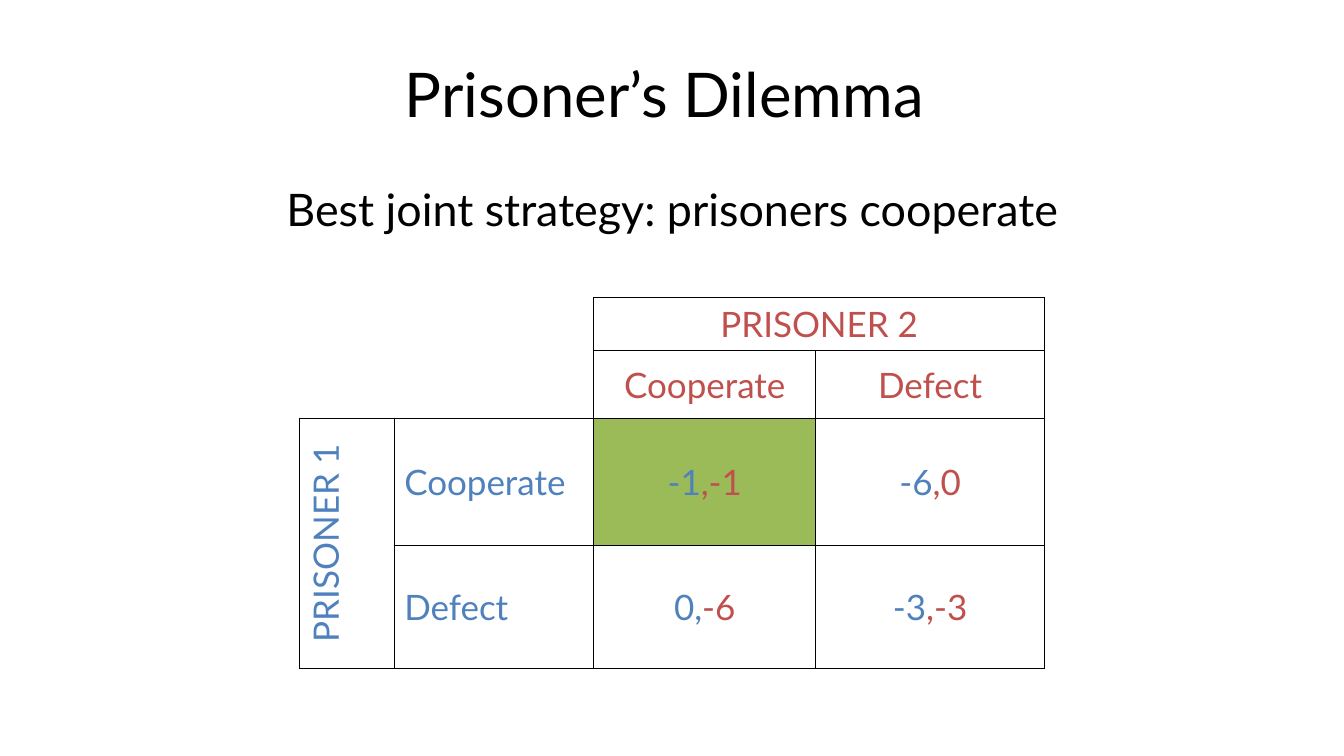
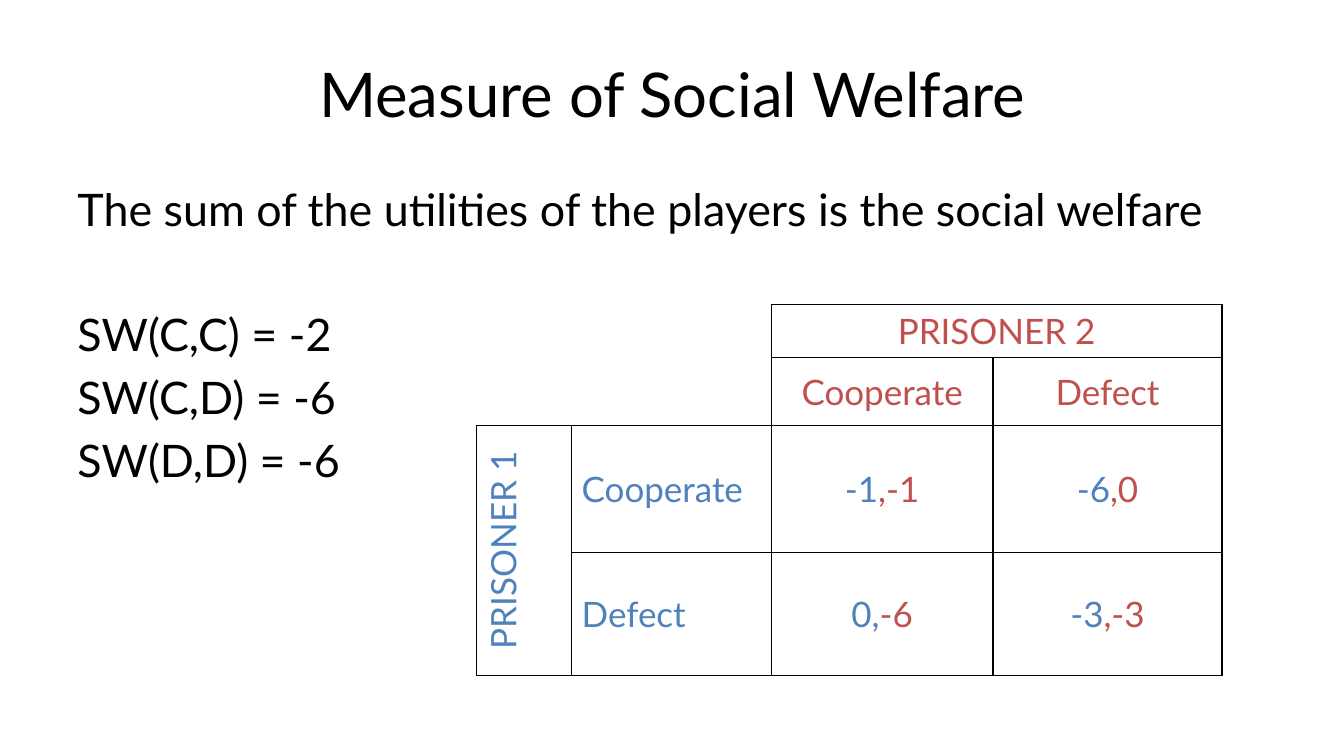
from dataclasses import dataclass

from lxml import etree
from pptx import Presentation
from pptx.dml.color import RGBColor
from pptx.enum.text import MSO_ANCHOR, PP_ALIGN
from pptx.oxml.ns import qn
from pptx.slide import Slide
from pptx.table import _Cell
from pptx.util import Inches, Pt

CENTER, LEFT = PP_ALIGN.CENTER, PP_ALIGN.LEFT
TOP, MIDDLE = MSO_ANCHOR.TOP, MSO_ANCHOR.MIDDLE

FONT = "Lato"
COLORS = {
    "text": "000000",
    "background": "FFFFFF",
    "prisoner 1": "4F81BD",
    "prisoner 2": "C0504D",
    "best": "9BBB59",
}
TITLE_SIZE, BODY_SIZE, TABLE_SIZE = 44, 32, 25
BODY_GAP = 6.4
SECTION_GAP = 51.2

COLUMN_WIDTHS = (0.94, 1.98, 2.2, 2.27)
ROW_HEIGHTS = (0.53, 0.67, 1.26, 1.22)
NO_GRID_STYLE = "{2D5ABB26-0587-4C30-8999-92F81FD0307C}"
BORDER_WIDTH = Pt(1)


@dataclass(frozen=True)
class Line:
    text: str
    space_before: float = 0


@dataclass(frozen=True)
class Entry:
    """Table text: one part for each prisoner, either of which may be empty."""
    row: int
    column: int
    first: str = ""
    second: str = ""
    align: PP_ALIGN = CENTER


@dataclass(frozen=True)
class GameSlide:
    title: str
    body: tuple[Line, ...]
    body_align: PP_ALIGN
    table_left: float
    table_top: float
    best_cell: tuple[int, int] | None = None


PAYOFFS = (
    Entry(0, 2, second="PRISONER 2"),
    Entry(1, 2, second="Cooperate"),
    Entry(1, 3, second="Defect"),
    Entry(2, 0, first="PRISONER 1"),
    Entry(2, 1, first="Cooperate", align=LEFT),
    Entry(2, 2, "-1", ",-1"),
    Entry(2, 3, "-6", ",0"),
    Entry(3, 1, first="Defect", align=LEFT),
    Entry(3, 2, "0,", "-6"),
    Entry(3, 3, "-3", ",-3"),
)

SLIDES = (
    GameSlide(
        "Prisoner’s Dilemma ",
        (Line("Best joint strategy: prisoners cooperate"),),
        CENTER, 2.97, 2.95, best_cell=(2, 2),
    ),
    GameSlide(
        "Measure of Social Welfare",
        (
            Line("The sum of the utilities of the players is the social welfare"),
            Line("SW(C,C) = -2", SECTION_GAP),
            Line("SW(C,D) = -6", BODY_GAP),
            Line("SW(D,D) = -6", BODY_GAP),
        ),
        LEFT, 4.73, 3.02,
    ),
)


def color(name: str) -> RGBColor:
    return RGBColor.from_string(COLORS[name])


def add_text(slide: Slide, top: float, height: float, lines: tuple[Line, ...],
             size: int, align: PP_ALIGN, anchor: MSO_ANCHOR) -> None:
    frame = slide.shapes.add_textbox(
        Inches(0.67), Inches(top), Inches(12), Inches(height)).text_frame
    frame.word_wrap = True
    frame.vertical_anchor = anchor
    for index, line in enumerate(lines):
        paragraph = frame.add_paragraph() if index else frame.paragraphs[0]
        paragraph.text = line.text
        paragraph.alignment = align
        if line.space_before:
            paragraph.space_before = Pt(line.space_before)
        paragraph.font.name = FONT
        paragraph.font.size = Pt(size)
        paragraph.font.color.rgb = color("text")


def set_borders(cell: _Cell, shown: str) -> None:
    """Draw the sides named in shown (L, R, T, B) and clear the others."""
    properties = cell._tc.get_or_add_tcPr()
    for side in "LRTB":
        border = etree.SubElement(properties, qn(f"a:ln{side}"), w=str(BORDER_WIDTH))
        if side in shown:
            fill = etree.SubElement(border, qn("a:solidFill"))
            etree.SubElement(fill, qn("a:srgbClr"), val=COLORS["text"])
        else:
            etree.SubElement(border, qn("a:noFill"))


def write_entry(cell: _Cell, entry: Entry) -> None:
    paragraph = cell.text_frame.paragraphs[0]
    paragraph.alignment = entry.align
    paragraph.font.name = FONT
    paragraph.font.size = Pt(TABLE_SIZE)
    for text, player in ((entry.first, "prisoner 1"), (entry.second, "prisoner 2")):
        if text:
            run = paragraph.add_run()
            run.text = text
            run.font.name = FONT
            run.font.size = Pt(TABLE_SIZE)
            run.font.color.rgb = color(player)


def add_payoff_table(slide: Slide, game: GameSlide) -> None:
    frame = slide.shapes.add_table(
        len(ROW_HEIGHTS), len(COLUMN_WIDTHS),
        Inches(game.table_left), Inches(game.table_top),
        Inches(sum(COLUMN_WIDTHS)), Inches(sum(ROW_HEIGHTS)))
    table = frame.table
    table.first_row = table.horz_banding = False
    table._tbl.tblPr.find(qn("a:tableStyleId")).text = NO_GRID_STYLE
    for column, width in zip(table.columns, COLUMN_WIDTHS):
        column.width = Inches(width)
    for row, height in zip(table.rows, ROW_HEIGHTS):
        row.height = Inches(height)

    for start, end in (((0, 0), (1, 1)), ((0, 2), (0, 3)), ((2, 0), (3, 0))):
        table.cell(*start).merge(table.cell(*end))
    for row in range(len(ROW_HEIGHTS)):
        for column in range(len(COLUMN_WIDTHS)):
            cell = table.cell(row, column)
            in_corner = row < 2 and column < 2
            set_borders(cell, "RB" if in_corner else "LRTB")
            cell.vertical_anchor = MIDDLE
            if (row, column) == game.best_cell:
                cell.fill.solid()
                cell.fill.fore_color.rgb = color("best")
            else:
                cell.fill.background()
    for entry in PAYOFFS:
        write_entry(table.cell(entry.row, entry.column), entry)
    table.cell(2, 0)._tc.get_or_add_tcPr().set("vert", "vert270")


def main() -> None:
    deck = Presentation()
    deck.slide_width, deck.slide_height = Inches(13.33), Inches(7.5)
    blank = deck.slide_layouts[6]
    for game in SLIDES:
        slide = deck.slides.add_slide(blank)
        slide.background.fill.solid()
        slide.background.fill.fore_color.rgb = color("background")
        add_text(slide, 0.3, 1.25, (Line(game.title),), TITLE_SIZE, CENTER, MIDDLE)
        add_text(slide, 1.75, 4.95, game.body, BODY_SIZE, game.body_align, TOP)
        add_payoff_table(slide, game)
    deck.save("out.pptx")


if __name__ == "__main__":
    main()
